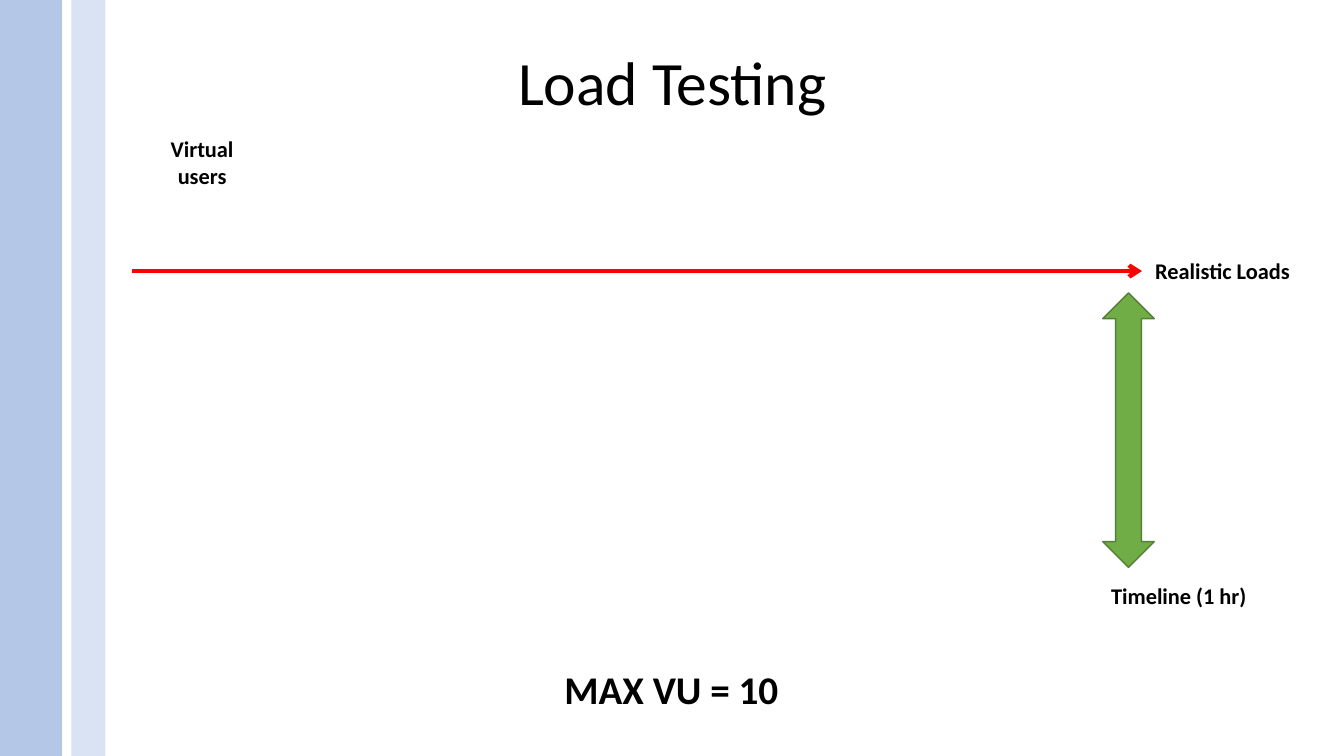
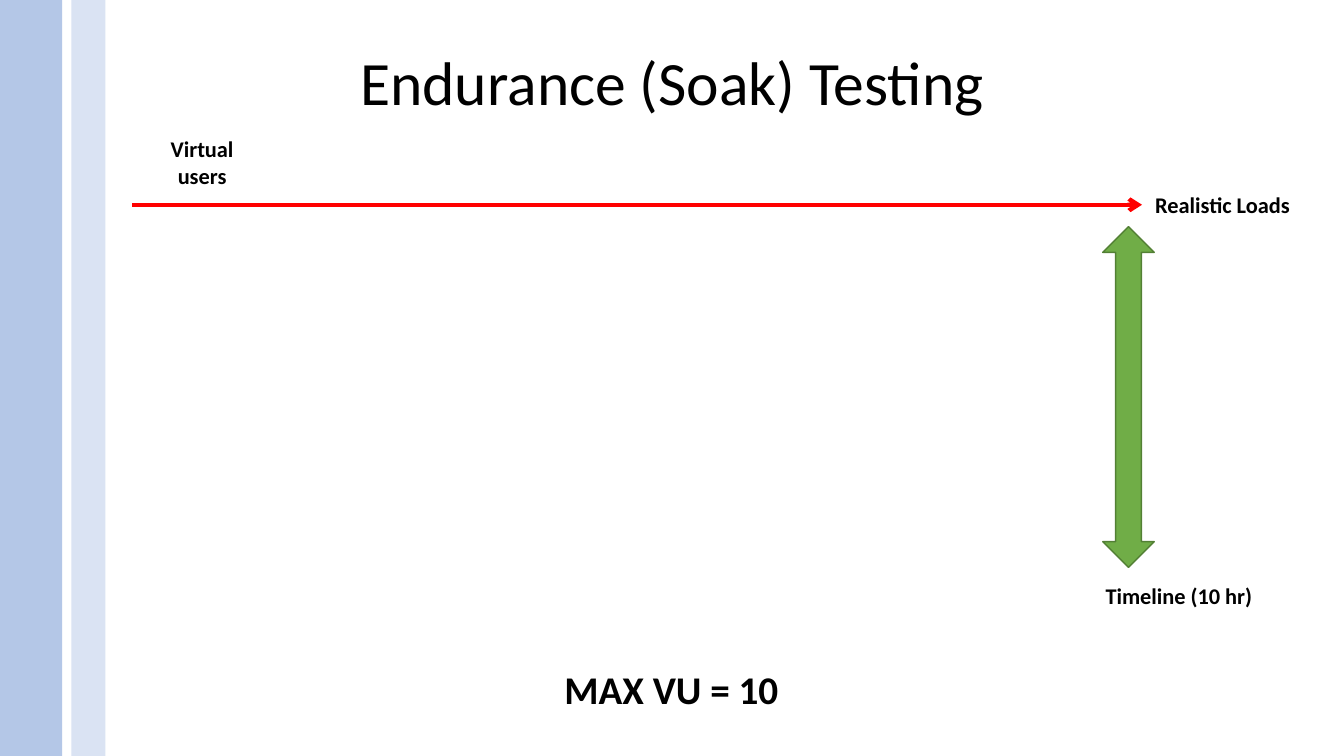
from dataclasses import dataclass

from lxml.etree import SubElement
from pptx import Presentation
from pptx.dml.color import RGBColor
from pptx.enum.shapes import MSO_CONNECTOR, MSO_SHAPE
from pptx.enum.text import MSO_ANCHOR, MSO_AUTO_SIZE, PP_ALIGN
from pptx.oxml.ns import qn
from pptx.slide import Slide
from pptx.text.text import TextFrame
from pptx.util import Cm, Pt

COLOURS = {
    "text": "000000",
    "outer_band": "B4C7E7",
    "inner_band": "DAE3F3",
    "load_line": "FF0000",
    "time_arrow": "70AD47",
    "time_arrow_edge": "538035",
}
FONT = "Calibri"
SLIDE_WIDTH, SLIDE_HEIGHT = 33.87, 19.05
LINE_START, LINE_END = 3.33, 28.78
TIME_ARROW_GAP, TIME_ARROW_BOTTOM = 0.55, 14.3


@dataclass(frozen=True)
class Box:
    """A rectangle in centimetres."""
    left: float
    top: float
    width: float
    height: float

    def lengths(self) -> tuple[Cm, Cm, Cm, Cm]:
        return Cm(self.left), Cm(self.top), Cm(self.width), Cm(self.height)


@dataclass(frozen=True)
class LoadDiagram:
    title: str
    duration: str
    line_height: float


TITLE_BOX = Box(2.34, 1.02, 29.21, 2.26)
BANDS = {
    "outer_band": Box(0, 0, 1.57, SLIDE_HEIGHT),
    "inner_band": Box(1.8, 0, 0.86, SLIDE_HEIGHT),
}
DIAGRAMS = [
    LoadDiagram("Load Testing", "1 hr", 6.83),
    LoadDiagram("Endurance (Soak) Testing", "10 hr", 5.16),
]


def colour(name: str) -> RGBColor:
    return RGBColor.from_string(COLOURS[name])


def write_text(frame: TextFrame, text: str, *, size: float = 16, bold: bool = True,
               anchor: MSO_ANCHOR = MSO_ANCHOR.TOP, line_spacing: float = 1.0) -> None:
    frame.word_wrap = True
    frame.auto_size = MSO_AUTO_SIZE.NONE
    frame.vertical_anchor = anchor
    paragraph = frame.paragraphs[0]
    paragraph.alignment = PP_ALIGN.CENTER
    paragraph.line_spacing = line_spacing
    run = paragraph.add_run()
    run.text = text
    run.font.name = FONT
    run.font.size = Pt(size)
    run.font.bold = bold
    run.font.color.rgb = colour("text")


def add_label(slide: Slide, box: Box, text: str, size: float = 16) -> None:
    write_text(slide.shapes.add_textbox(*box.lengths()).text_frame, text, size=size)


def add_filled_shape(slide: Slide, kind: MSO_SHAPE, box: Box, fill: str,
                     edge: str | None = None) -> None:
    shape = slide.shapes.add_shape(kind, *box.lengths())
    shape.shadow.inherit = False
    shape.fill.solid()
    shape.fill.fore_color.rgb = colour(fill)
    if edge:
        shape.line.color.rgb = colour(edge)
        shape.line.width = Pt(1)
    else:
        shape.line.fill.background()


def add_load_line(slide: Slide, height: float) -> None:
    connector = slide.shapes.add_connector(
        MSO_CONNECTOR.STRAIGHT, Cm(LINE_START), Cm(height), Cm(LINE_END), Cm(height))
    connector.line.color.rgb = colour("load_line")
    connector.line.width = Pt(3)
    SubElement(connector.line._get_or_add_ln(), qn("a:tailEnd"), type="arrow")
    SubElement(connector._element.spPr, qn("a:effectLst"))


def add_slide_frame(presentation: Presentation, title: str) -> Slide:
    """Add a slide with its title and the bands on the left edge."""
    slide = presentation.slides.add_slide(presentation.slide_layouts[5])
    heading = slide.shapes.title
    heading.left, heading.top, heading.width, heading.height = TITLE_BOX.lengths()
    write_text(heading.text_frame, title, size=44, bold=False,
               anchor=MSO_ANCHOR.MIDDLE, line_spacing=0.9)
    for fill, box in BANDS.items():
        add_filled_shape(slide, MSO_SHAPE.RECTANGLE, box, fill)
    return slide


def add_diagram_slide(presentation: Presentation, diagram: LoadDiagram) -> None:
    slide = add_slide_frame(presentation, diagram.title)
    add_load_line(slide, diagram.line_height)
    add_label(slide, Box(3.81, 3.28, 2.57, 1.63), "Virtual users")
    add_label(slide, Box(27.46, 14.55, 4.5, 0.94), f"Timeline ({diagram.duration})")
    add_label(slide, Box(28.56, diagram.line_height - 0.47, 4.5, 0.94), "Realistic Loads")
    arrow_top = diagram.line_height + TIME_ARROW_GAP
    add_filled_shape(slide, MSO_SHAPE.UP_DOWN_ARROW,
                     Box(27.79, arrow_top, 1.3, TIME_ARROW_BOTTOM - arrow_top),
                     "time_arrow", "time_arrow_edge")
    add_label(slide, Box(13.26, 16.64, 7.32, 1.45), "MAX VU = 10", size=28)


def main() -> None:
    presentation = Presentation()
    presentation.slide_width = Cm(SLIDE_WIDTH)
    presentation.slide_height = Cm(SLIDE_HEIGHT)
    for diagram in DIAGRAMS:
        add_diagram_slide(presentation, diagram)
    presentation.save("out.pptx")


if __name__ == "__main__":
    main()
